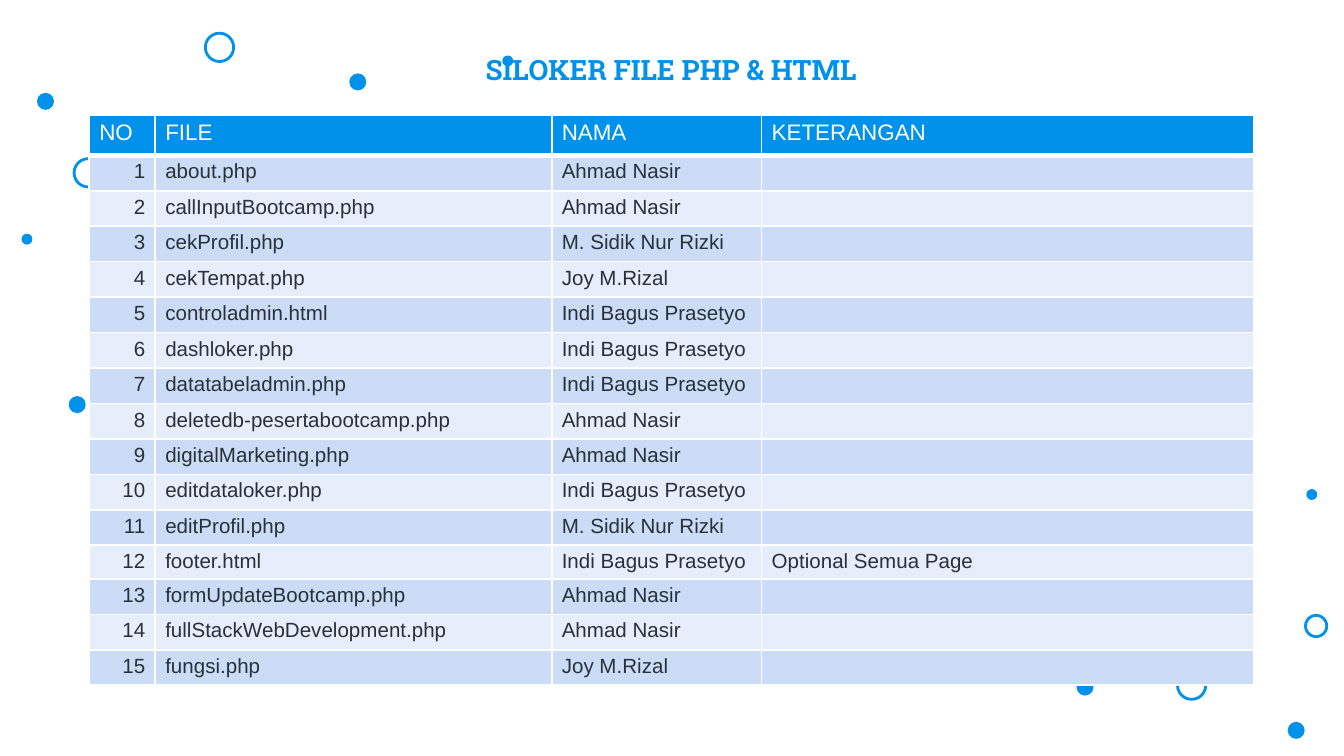
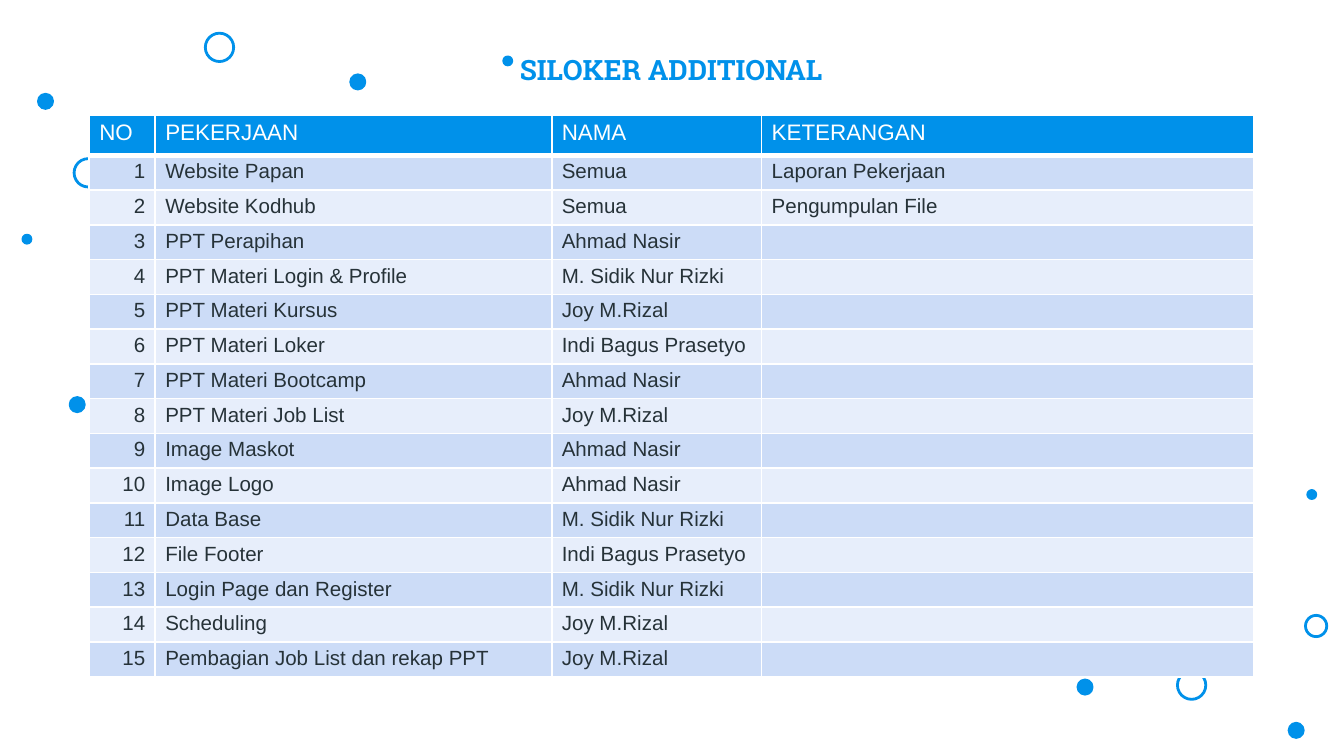
from lxml.etree import SubElement
from pptx import Presentation
from pptx.dml.color import RGBColor
from pptx.enum.shapes import MSO_SHAPE as Shape
from pptx.enum.text import MSO_ANCHOR as Anchor, PP_ALIGN as Align
from pptx.oxml.ns import qn
from pptx.util import Pt

BLUE = "0091EA"
WHITE = "FFFFFF"
DARK = "263238"
BANDS = ("CCDCF7", "E7EEFB")

# left, top, size
DOTS = [
    (577.5, 364.3, 7.6), (700.6, 262.8, 4.3), (690.6, 387.5, 7.6),
    (187.9, 40.1, 7.6), (37.6, 213, 7.6), (20.6, 50.5, 7.6),
    (12.3, 126, 4.3), (269.9, 30.5, 4.3),
]
RINGS = [
    (39.7, 85, 15.2), (699.4, 329.7, 11.4),
    (110, 17.8, 15.2), (630.8, 359.5, 15.2),
]

COLS = (35.4, 212.4, 112.5, 263.9)
HEAD_H, ROW_H = 21.6, 18

NASIR = "Ahmad Nasir"
SIDIK = "M. Sidik Nur Rizki"
JOY = "Joy M.Rizal"
INDI = "Indi Bagus Prasetyo"
ALL = "Semua"

FILES = [
    ("about.php", NASIR),
    ("callInputBootcamp.php", NASIR),
    ("cekProfil.php", SIDIK),
    ("cekTempat.php", JOY),
    ("controladmin.html", INDI),
    ("dashloker.php", INDI),
    ("datatabeladmin.php", INDI),
    ("deletedb-pesertabootcamp.php", NASIR),
    ("digitalMarketing.php", NASIR),
    ("editdataloker.php", INDI),
    ("editProfil.php", SIDIK),
    ("footer.html", INDI, "Optional Semua Page"),
    ("formUpdateBootcamp.php", NASIR),
    ("fullStackWebDevelopment.php", NASIR),
    ("fungsi.php", JOY),
]
JOBS = [
    ("Website Papan", ALL, "Laporan Pekerjaan"),
    ("Website Kodhub", ALL, "Pengumpulan File"),
    ("PPT Perapihan", NASIR),
    ("PPT Materi Login & Profile", SIDIK),
    ("PPT Materi Kursus", JOY),
    ("PPT Materi Loker", INDI),
    ("PPT Materi Bootcamp", NASIR),
    ("PPT Materi Job List", JOY),
    ("Image Maskot", NASIR),
    ("Image Logo", NASIR),
    ("Data Base", SIDIK),
    ("File Footer", INDI),
    ("Login Page dan Register", SIDIK),
    ("Scheduling", JOY),
    ("Pembagian Job List dan rekap PPT", JOY),
]


def color(code):
    return RGBColor.from_string(code)


def add_run(para, text, size, code, face, bold=False):
    run = para.add_run()
    run.text = text
    font = run.font
    font.size, font.name, font.bold = Pt(size), face, bold
    font.color.rgb = color(code)


def add_ring(slide, left, top, size, solid=False):
    ring = slide.shapes.add_shape(
        Shape.OVAL, Pt(left), Pt(top), Pt(size), Pt(size))
    ring.shadow.inherit = False
    if solid:
        ring.fill.solid()
        ring.fill.fore_color.rgb = color(BLUE)
    else:
        ring.fill.background()
    ring.line.color.rgb = color(BLUE)
    ring.line.width = Pt(1.5)


def add_title(slide, text):
    box = slide.shapes.add_textbox(Pt(131), Pt(23), Pt(457.2), Pt(28.8))
    frame = box.text_frame
    frame.word_wrap = True
    frame.vertical_anchor = Anchor.MIDDLE
    frame.margin_left = frame.margin_right = Pt(7.2)
    frame.margin_top = frame.margin_bottom = Pt(7.2)
    para = frame.paragraphs[0]
    para.alignment = Align.CENTER
    add_run(para, text, 15, BLUE, "Roboto Slab", True)


def set_edges(cell, top, bottom):
    """Draw white cell borders; top and bottom are widths in points."""
    props = cell._tc.get_or_add_tcPr()
    for side, width in zip("LRTB", (1, 1, top, bottom)):
        line = SubElement(props, qn(f"a:ln{side}"), w=str(Pt(width)))
        fill = SubElement(line, qn("a:solidFill"))
        SubElement(fill, qn("a:srgbClr"), val=WHITE)


def fill_cell(cell, text, row, col):
    head = row == 0
    size = 12 if head else 11
    set_edges(cell, 3 if row == 1 else 1, 3 if head else 1)
    cell.fill.solid()
    cell.fill.fore_color.rgb = color(BLUE if head else BANDS[(row - 1) % 2])
    cell.margin_left = cell.margin_right = Pt(5.4)
    cell.margin_top = cell.margin_bottom = Pt(2.7)
    para = cell.text_frame.paragraphs[0]
    if col == 0 and not head:
        para.alignment = Align.RIGHT
    if text:
        add_run(para, text, size, WHITE if head else DARK, "Arial")
    else:
        SubElement(para._p, qn("a:endParaRPr"), sz=str(size * 100))


def add_list(slide, topic, items):
    """Add the numbered table, with an empty note where an item has none."""
    rows = [("NO", topic, "NAMA", "KETERANGAN")]
    for num, (name, who, *note) in enumerate(items, 1):
        rows.append((str(num), name, who, note[0] if note else ""))
    high = HEAD_H + ROW_H * len(items)
    table = slide.shapes.add_table(
        len(rows), len(COLS), Pt(47.8), Pt(61.6), Pt(sum(COLS)), Pt(high)).table
    for col, width in zip(table.columns, COLS):
        col.width = Pt(width)
    for r, row in enumerate(rows):
        table.rows[r].height = Pt(ROW_H if r else HEAD_H)
        for c, text in enumerate(row):
            fill_cell(table.cell(r, c), text, r, c)


def add_page(deck, title, topic, items):
    slide = deck.slides.add_slide(deck.slide_layouts[6])
    slide.background.fill.solid()
    slide.background.fill.fore_color.rgb = color(WHITE)
    for dot in DOTS:
        add_ring(slide, *dot, solid=True)
    for ring in RINGS:
        add_ring(slide, *ring)
    add_list(slide, topic, items)
    add_title(slide, title)


def main():
    deck = Presentation()
    deck.slide_width, deck.slide_height = Pt(720), Pt(405)
    add_page(deck, "SILOKER FILE PHP & HTML", "FILE", FILES)
    add_page(deck, "SILOKER ADDITIONAL", "PEKERJAAN", JOBS)
    deck.save("out.pptx")


if __name__ == "__main__":
    main()
